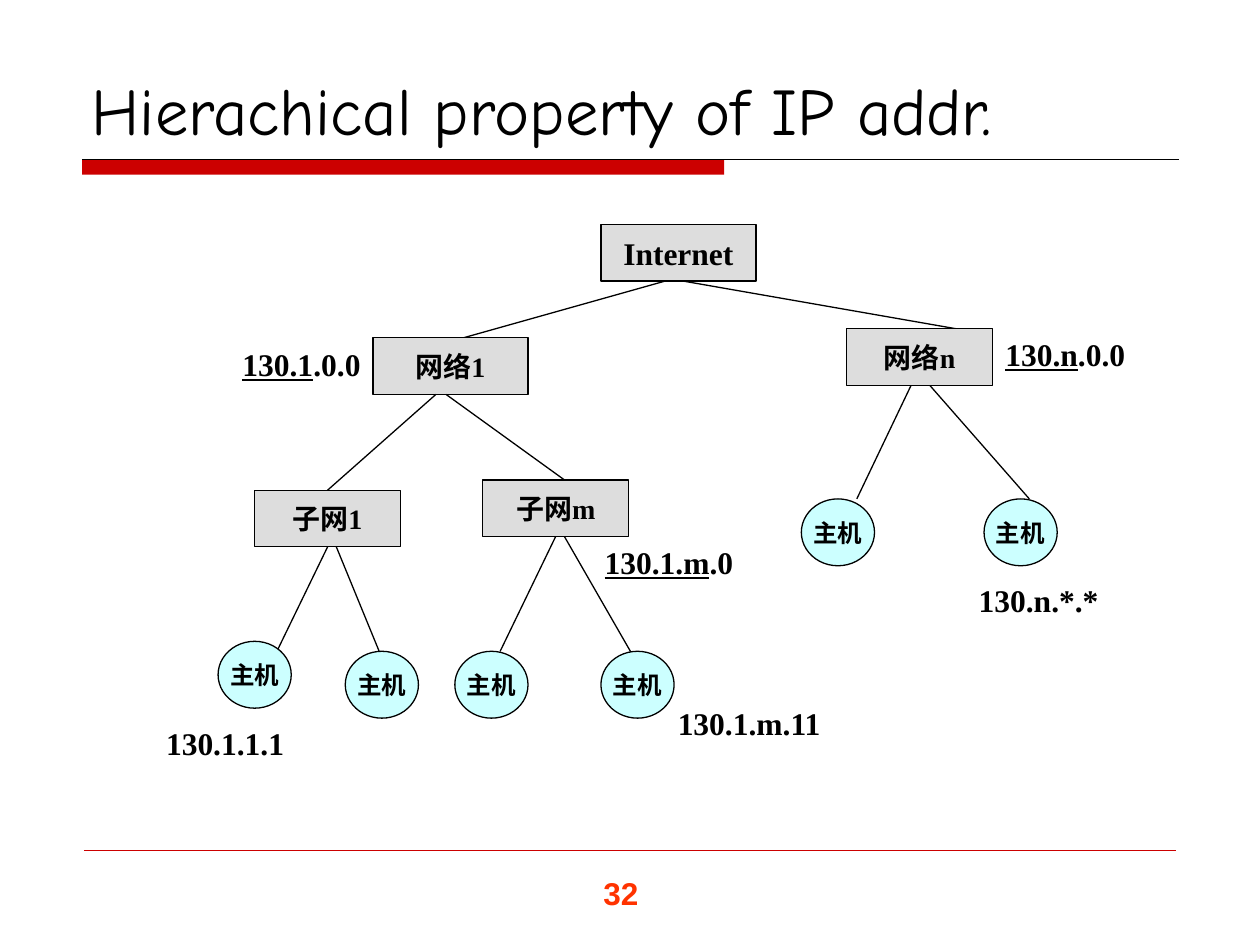
from dataclasses import dataclass
from lxml.etree import SubElement
from pptx import Presentation
from pptx.dml.color import RGBColor as RGB
from pptx.enum.shapes import MSO_CONNECTOR as CONN, MSO_SHAPE as SHAPE
from pptx.enum.text import MSO_ANCHOR as ANCHOR, PP_ALIGN as ALIGN
from pptx.oxml.ns import qn
from pptx.util import Pt


@dataclass(frozen=True)
class Theme:
    ink: RGB = RGB(0, 0, 0)
    red: RGB = RGB(0xCC, 0, 0)
    page: RGB = RGB(0xFF, 0x33, 0)
    net: RGB = RGB(0xDD, 0xDD, 0xDD)
    host: RGB = RGB(0xCC, 0xFF, 0xFF)
    head_font: str = "Comic Neue"
    body_font: str = "Times New Roman"
    page_font: str = "Arial"
    head: int = 38
    large: int = 18
    mid: int = 16
    small: int = 14


T = Theme()
NET_H = 32.4
HOST_W, HOST_H = 41.8, 38.2

# text, left, top, width, type size
NETS = [
    ("Internet", 343.4, 128.2, 88.6, T.large),
    ("网络1", 213.1, 193, 88.6, T.mid),
    ("网络n", 483.8, 187.9, 83.5, T.mid),
    ("子网1", 145.4, 280.1, 83.5, T.mid),
    ("子网m", 275.8, 274.3, 83.5, T.mid),
]
HOSTS = [(124.6, 366.5), (197.3, 372.2), (259.9, 372.2), (343.4, 372.2),
         (457.9, 285.1), (562.3, 285.1)]
# parent, then for each branch: start x, end x, end y
LINKS = {
    "Internet": [(380.2, 265, 193), (390.2, 546.5, 187.9)],
    "网络1": [(249.1, 187.2, 280.1), (254.9, 322.6, 274.3)],
    "网络n": [(520.6, 489.6, 285.1), (531.4, 588.2, 285.1)],
    "子网1": [(187.2, 150.5, 388.1), (192.2, 223.2, 388.1)],
    "子网m": [(317.5, 285.8, 372.2), (322.6, 369.4, 388.1)],
}
# underlined part, plain part, left, top, width, alignment
ADDRS = [
    ("130.1", ".0.0", 108.7, 193.7, 104.4, ALIGN.RIGHT),
    ("130.n", ".0.0", 567.4, 187.9, 104.4, ALIGN.LEFT),
    ("130.1.m", ".0", 338.4, 306.7, 104.4, ALIGN.LEFT),
    ("", "130.n.*.*", 552.2, 328.3, 103.7, ALIGN.LEFT),
    ("", "130.1.m.11", 380.2, 398.9, 114.5, ALIGN.LEFT),
    ("", "130.1.1.1", 87.8, 410.4, 104.4, ALIGN.LEFT),
]


def add_run(par, text, size, font=T.body_font, color=T.ink, bold=True, under=False):
    run = par.add_run()
    run.text = text
    face = run.font
    face.name, face.size, face.bold, face.underline = font, Pt(size), bold, under
    face.color.rgb = color


def add_box(slide, left, top, width, height, align=ALIGN.LEFT, anchor=ANCHOR.TOP):
    """Add an empty text box and return its paragraph."""
    frame = slide.shapes.add_textbox(Pt(left), Pt(top), Pt(width), Pt(height)).text_frame
    frame.word_wrap, frame.vertical_anchor = True, anchor
    par = frame.paragraphs[0]
    par.alignment = align
    return par


def add_line(slide, x1, y1, x2, y2, color=T.ink, width=0.75):
    line = slide.shapes.add_connector(CONN.STRAIGHT, Pt(x1), Pt(y1), Pt(x2), Pt(y2))
    line.line.color.rgb, line.line.width = color, Pt(width)
    SubElement(line._element.spPr, qn("a:effectLst"))


def add_node(slide, kind, text, left, top, width, height, fill, size):
    node = slide.shapes.add_shape(kind, Pt(left), Pt(top), Pt(width), Pt(height))
    node.shadow.inherit = False
    node.fill.solid()
    node.fill.fore_color.rgb = fill
    node.line.color.rgb, node.line.width = T.ink, Pt(0.75)
    frame = node.text_frame
    frame.word_wrap, frame.vertical_anchor = False, ANCHOR.MIDDLE
    par = frame.paragraphs[0]
    par.alignment = ALIGN.CENTER
    add_run(par, text, size)


def add_frame(slide):
    """Add the title, its red bar, the foot rule and the page number."""
    bar = slide.shapes.add_shape(SHAPE.RECTANGLE, Pt(47), Pt(91.2), Pt(366.8), Pt(8.6))
    bar.shadow.inherit = False
    bar.fill.solid()
    bar.fill.fore_color.rgb = T.red
    bar.line.fill.background()
    add_line(slide, 47, 91.2, 673.7, 91.2)
    add_line(slide, 48, 486, 672, 486, T.red, 0.25)
    page = add_box(slide, 337.7, 496.1, 54, 28.8)
    add_run(page, "32", T.large, T.page_font, T.page)
    head = add_box(slide, 45.4, 23.8, 630, 64.8, anchor=ANCHOR.BOTTOM)
    add_run(head, "Hierachical property of IP addr.", T.head, T.head_font, bold=False)


def add_tree(slide):
    for text, left, top, width, size in NETS:
        add_node(slide, SHAPE.RECTANGLE, text, left, top, width, NET_H, T.net, size)
        for x1, x2, y2 in LINKS[text]:
            add_line(slide, x1, top + NET_H, x2, y2)
    for left, top in HOSTS:
        add_node(slide, SHAPE.OVAL, "主机", left, top, HOST_W, HOST_H, T.host, T.small)


def add_addrs(slide):
    for net, rest, left, top, width, align in ADDRS:
        par = add_box(slide, left, top, width, 28.8, align)
        if net:
            add_run(par, net, T.large, under=True)
        add_run(par, rest, T.large)


def main():
    deck = Presentation()
    deck.slide_width, deck.slide_height = Pt(720), Pt(540)
    slide = deck.slides.add_slide(deck.slide_layouts[6])
    add_frame(slide)
    add_tree(slide)
    add_addrs(slide)
    deck.save("out.pptx")


if __name__ == "__main__":
    main()
